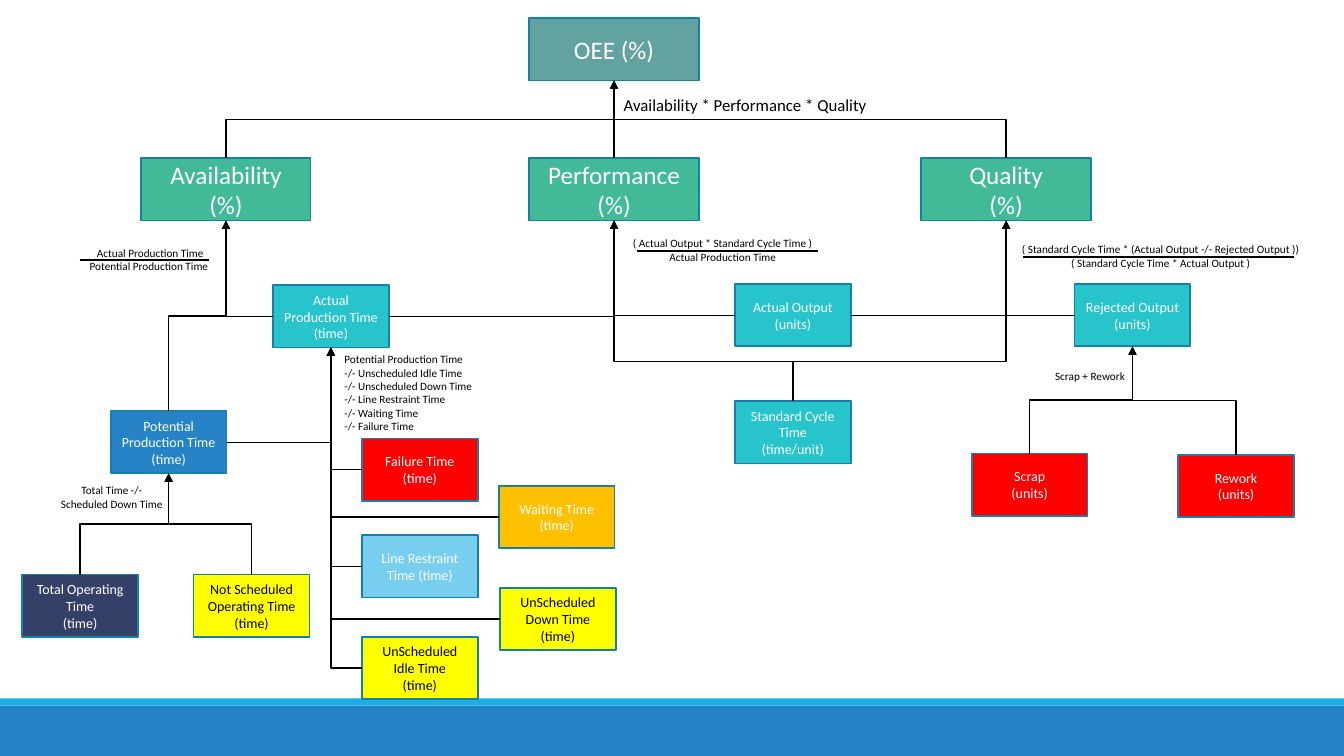
import pptx
import pptx.util
import pptx.dml.color
import pptx.enum.shapes
import pptx.enum.text
import pptx.oxml
import pptx.oxml.ns

Cm = pptx.util.Cm
Pt = pptx.util.Pt
RGBColor = pptx.dml.color.RGBColor
PP_ALIGN = pptx.enum.text.PP_ALIGN
MSO_SHAPE = pptx.enum.shapes.MSO_SHAPE
MSO_CONNECTOR = pptx.enum.shapes.MSO_CONNECTOR
qn = pptx.oxml.ns.qn

WHITE = RGBColor(0xFF, 0xFF, 0xFF)
BLACK = RGBColor(0x00, 0x00, 0x00)
BORDER = RGBColor(0x15, 0x80, 0xA9)
SAGE = RGBColor(0x62, 0xA3, 0x9F)
GREEN = RGBColor(0x42, 0xBA, 0x97)
TURQUOISE = RGBColor(0x28, 0xC4, 0xCC)
BLUE = RGBColor(0x26, 0x83, 0xC6)
CYAN = RGBColor(0x1C, 0xAD, 0xE4)
SKY = RGBColor(0x77, 0xCE, 0xEF)
NAVY = RGBColor(0x34, 0x40, 0x68)
YELLOW = RGBColor(0xFF, 0xFF, 0x00)
AMBER = RGBColor(0xFF, 0xC0, 0x00)
RED = RGBColor(0xFF, 0x00, 0x00)

LEFT, CENTER = PP_ALIGN.LEFT, PP_ALIGN.CENTER


class TreeSlide:
    """Draws the boxes, formulas and arrows of a driver tree on one slide."""

    font_name = "Calibri"
    box_height = 1.57

    def __init__(self, slide):
        self.shapes = slide.shapes

    def set_text(self, frame, lines, size, color, aligns):
        frame.text = "\n".join(lines)
        for paragraph, align in zip(frame.paragraphs, aligns):
            paragraph.alignment = align
            paragraph.font.name = self.font_name
            paragraph.font.size = Pt(size)
            paragraph.font.color.rgb = color

    def bar(self, top, height, fill, left=0, width=33.87):
        bar = self.shapes.add_shape(
            MSO_SHAPE.RECTANGLE, Cm(left), Cm(top), Cm(width), Cm(height))
        bar.shadow.inherit = False
        bar.fill.solid()
        bar.fill.fore_color.rgb = fill
        bar.line.fill.background()
        return bar

    def box(self, left, top, fill, *lines, color=WHITE, width=2.92, size=10):
        box = self.bar(top, self.box_height, fill, left, width)
        box.line.color.rgb = BORDER
        box.line.width = Pt(1.25)
        box.text_frame.vertical_anchor = pptx.enum.text.MSO_ANCHOR.MIDDLE
        self.set_text(box.text_frame, lines, size, color, [CENTER] * len(lines))
        return box

    def kpi(self, left, top, fill, *lines):
        return self.box(left, top, fill, *lines, width=4.27, size=18)

    def formula(self, left, top, width, height, *lines, aligns=None, size=8):
        text_box = self.shapes.add_textbox(Cm(left), Cm(top), Cm(width), Cm(height))
        text_box.text_frame.word_wrap = False
        text_box.text_frame.auto_size = pptx.enum.text.MSO_AUTO_SIZE.SHAPE_TO_FIT_TEXT
        self.set_text(text_box.text_frame, lines, size, BLACK, aligns or [LEFT] * len(lines))

    def connector(self, kind, begin, end, weight=1, arrow=True):
        connector = self.shapes.add_connector(kind, *map(int, begin + end))
        connector.line.color.rgb = BLACK
        connector.line.width = Pt(weight)
        properties = connector._element.spPr
        if arrow:
            namespace = pptx.oxml.ns.nsdecls("a")
            properties.find(qn("a:ln")).append(
                pptx.oxml.parse_xml(f'<a:tailEnd {namespace} type="triangle"/>'))
        properties.append(pptx.oxml.parse_xml(
            f'<a:effectLst {pptx.oxml.ns.nsdecls("a")}/>'))
        return connector

    def fraction_line(self, left, right, y):
        self.connector(MSO_CONNECTOR.STRAIGHT, (Cm(left), Cm(y)), (Cm(right), Cm(y)),
                       weight=1.5, arrow=False)

    def straight_up(self, source, target):
        arrow = self.connector(MSO_CONNECTOR.STRAIGHT, (0, 0), (0, 0))
        arrow.begin_connect(source, 0)
        arrow.end_connect(target, 2)

    def side_arrow(self, source, target):
        """One bend: out of the source's facing side, up into the target."""
        x = target.left + target.width / 2
        start = source.left if x < source.left else source.left + source.width
        arrow = self.connector(
            MSO_CONNECTOR.ELBOW, (start, source.top + source.height / 2),
            (x, target.top + target.height))
        arrow._element.spPr.find(qn("a:prstGeom")).set("prst", "bentConnector2")

    def top_arrow(self, source, target, bend=0.5):
        """Two bends: up, across and up, as an elbow turned by 270 degrees."""
        x1, y1 = source.left + source.width / 2, source.top
        x2, y2 = target.left + target.width / 2, target.top + target.height
        mid_x, mid_y = (x1 + x2) / 2, (y1 + y2) / 2
        along, across = (y1 - y2) / 2, (x2 - x1) / 2
        arrow = self.connector(MSO_CONNECTOR.ELBOW, (mid_x - along, mid_y - across),
                               (mid_x + along, mid_y + across))
        properties = arrow._element.spPr
        properties.find(qn("a:xfrm")).set("rot", str(270 * 60000))
        guides = properties.find(qn("a:prstGeom")).get_or_add_avLst()
        guides.append(pptx.oxml.parse_xml(
            f'<a:gd {pptx.oxml.ns.nsdecls("a")} name="adj1" '
            f'fmla="val {round(bend * 100000)}"/>'))


def main():
    presentation = pptx.Presentation()
    presentation.slide_width, presentation.slide_height = Cm(33.87), Cm(19.05)
    tree = TreeSlide(presentation.slides.add_slide(presentation.slide_layouts[6]))

    # Footer bands
    tree.bar(17.78, 1.27, BLUE)
    tree.bar(17.6, 0.18, CYAN)

    # Key figures
    oee = tree.kpi(13.34, 0.46, SAGE, "OEE (%)")
    performance = tree.kpi(13.34, 3.99, GREEN, "Performance (%)")
    availability = tree.kpi(3.56, 3.99, GREEN, "Availability (%)")
    quality = tree.kpi(23.22, 3.99, GREEN, "Quality", "(%)")

    # Times and outputs
    actual_time = tree.box(6.88, 7.19, TURQUOISE, "Actual Production Time (time)")
    potential_time = tree.box(2.79, 10.36, BLUE, "Potential Production Time", "(time)")
    total_time = tree.box(0.56, 14.48, NAVY, "Total Operating Time", "(time)")
    not_scheduled = tree.box(4.88, 14.48, YELLOW,
                             "Not Scheduled Operating Time (time)", color=BLACK)
    actual_output = tree.box(18.52, 7.16, TURQUOISE, "Actual Output", "(units)")
    cycle_time = tree.box(18.52, 10.11, TURQUOISE, "Standard Cycle Time", "(time/unit)")
    rejected_output = tree.box(27.08, 7.16, TURQUOISE, "Rejected Output", "(units)")
    scrap = tree.box(24.49, 11.43, RED, "Scrap", "(units)")
    rework = tree.box(29.69, 11.46, RED, "Rework", "(units)")

    # Time losses
    losses = [
        tree.box(9.12, 11.05, RED, "Failure Time (time)"),
        tree.box(12.57, 12.24, AMBER, "Waiting Time (time)"),
        tree.box(9.12, 13.49, SKY, "Line Restraint Time (time)"),
        tree.box(12.6, 14.81, YELLOW, "UnScheduled Down Time (time)", color=BLACK),
        tree.box(9.12, 16.05, YELLOW, "UnScheduled Idle Time", "(time)", color=BLACK),
    ]

    # Arrows
    tree.straight_up(performance, oee)
    for source, target in [
        (actual_time, availability), (actual_time, performance),
        (actual_output, performance), (actual_output, quality),
        (rejected_output, quality), (potential_time, actual_time),
        *((loss, actual_time) for loss in losses),
    ]:
        tree.side_arrow(source, target)
    for source, target in [
        (availability, oee), (quality, oee), (potential_time, availability),
        (total_time, potential_time), (not_scheduled, potential_time),
        (scrap, rejected_output), (rework, rejected_output),
    ]:
        tree.top_arrow(source, target)
    for target in (performance, quality):
        tree.top_arrow(cycle_time, target, bend=0.22)

    # Formulas
    tree.formula(15.47, 2.26, 6.71, 0.76, "Availability * Performance * Quality", size=12)
    tree.formula(2.01, 6.07, 3.56, 0.94, "Actual Production Time",
                 "Potential Production Time", aligns=[CENTER, LEFT])
    tree.formula(15.47, 5.84, 5.49, 0.94, "( Actual Output * Standard Cycle Time )",
                 "Actual Production Time", aligns=[CENTER, CENTER])
    tree.formula(25.37, 5.99, 7.77, 0.94,
                 "( Standard Cycle Time * (Actual Output -/- Rejected Output ))",
                 "( Standard Cycle Time * Actual Output )", aligns=[CENTER, CENTER])
    tree.formula(8.43, 8.76, 3.76, 2.31, "Potential Production Time",
                 "-/- Unscheduled Idle Time", "-/- Unscheduled Down Time",
                 "-/- Line Restraint Time", "-/- Waiting Time", "-/- Failure Time")
    tree.formula(1.27, 12.06, 3.1, 0.94, "Total Time -/-", "Scheduled Down Time",
                 aligns=[CENTER, CENTER])
    tree.formula(26.34, 9.17, 2.29, 0.61, "Scrap + Rework")

    # Fraction lines
    tree.fraction_line(2.01, 5.26, 6.55)
    tree.fraction_line(16.05, 20.62, 6.32)
    tree.fraction_line(25.78, 32.61, 6.48)

    presentation.save("out.pptx")


if __name__ == "__main__":
    main()
